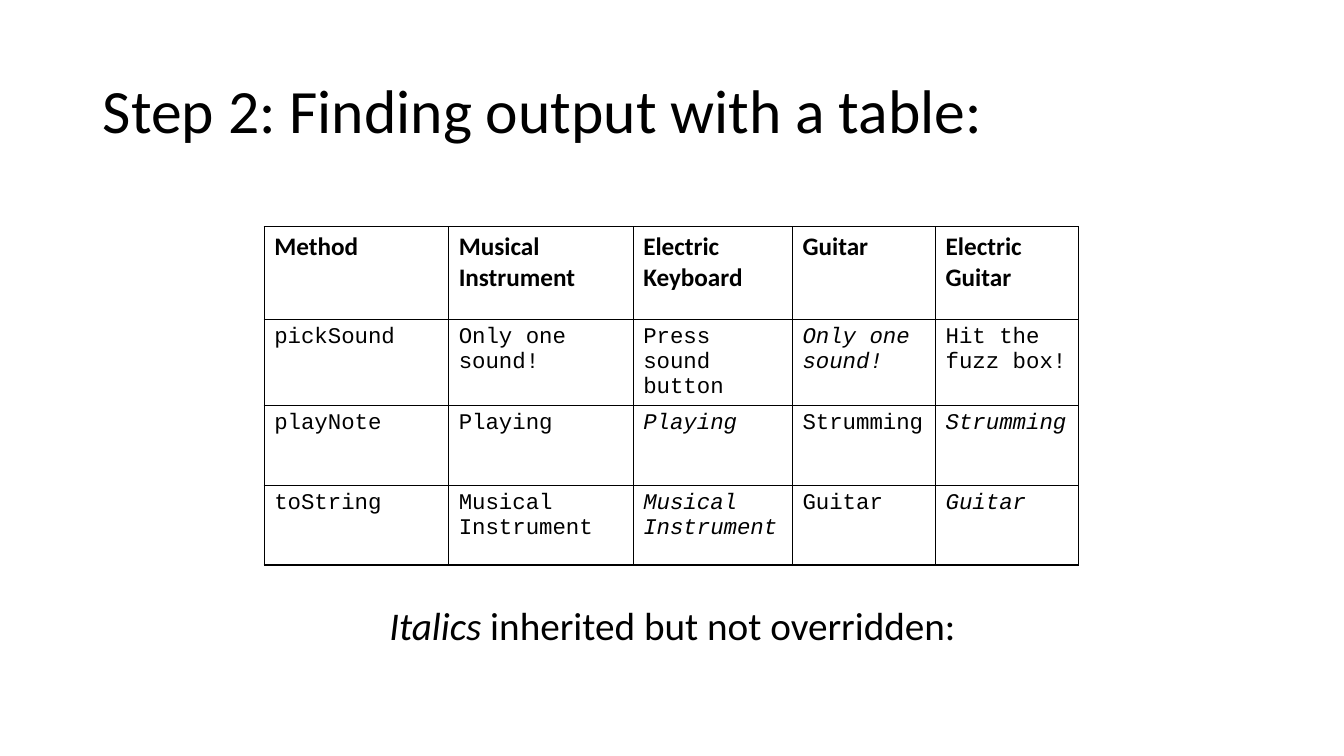
from lxml import etree
from pptx import Presentation
from pptx.dml.color import RGBColor
from pptx.enum import text
from pptx.oxml import ns
from pptx.util import Inches, Pt

BLACK = RGBColor(0, 0, 0)
WHITE = RGBColor(255, 255, 255)
SANS = "Calibri"
MONO = "Courier New"

COLUMN_WIDTHS = [1.83, 1.83, 1.58, 1.42, 1.42]
ROW_HEIGHTS = [0.92, 0.79, 0.79, 0.79]
HEADER = ["Method", "Musical Instrument", "Electric Keyboard", "Guitar", "Electric Guitar"]
METHODS = [
    ["pickSound", "Only one sound!", "Press sound button", "Only one sound!", "Hit the fuzz box!"],
    ["playNote", "Playing", "Playing", "Strumming", "Strumming"],
    ["toString", "Musical Instrument", "Musical Instrument", "Guitar", "Guitar"],
]
INHERITED = {(1, 3), (2, 2), (2, 4), (3, 2), (3, 4)}


def add_run(p, words, size=18, font=SANS, color=BLACK, bold=False, italic=False):
    r = p.add_run()
    r.text = words
    r.font.size = Pt(size)
    r.font.name = font
    r.font.color.rgb = color
    r.font.bold = bold
    r.font.italic = italic


def add_borders(cell, color=BLACK, width=1):
    props = cell._tc.get_or_add_tcPr()
    for i, side in enumerate(("lnL", "lnR", "lnT", "lnB")):
        line = etree.Element(ns.qn(f"a:{side}"), w=str(Pt(width)))
        fill = etree.SubElement(line, ns.qn("a:solidFill"))
        etree.SubElement(fill, ns.qn("a:srgbClr"), val=str(color))
        props.insert(i, line)


class SlideBuilder:
    def __init__(self, prs):
        self.s = prs.slides.add_slide(prs.slide_layouts[5])

    def frame(self, sp, box, align):
        sp.left, sp.top, sp.width, sp.height = map(Inches, box)
        tf = sp.text_frame
        tf.word_wrap = True
        tf.auto_size = text.MSO_AUTO_SIZE.NONE
        tf.vertical_anchor = text.MSO_ANCHOR.MIDDLE
        p = tf.paragraphs[0]
        p.alignment = align
        p.line_spacing = 0.9
        return p

    def title(self, words, box):
        p = self.frame(self.s.shapes.title, box, text.PP_ALIGN.LEFT)
        add_run(p, words, size=44)

    def caption(self, runs, box):
        sp = self.s.shapes.add_textbox(*map(Inches, box))
        p = self.frame(sp, box, text.PP_ALIGN.CENTER)
        for words, italic in runs:
            add_run(p, words, size=28, italic=italic)

    def table(self, rows, left, top):
        size = Inches(sum(COLUMN_WIDTHS)), Inches(sum(ROW_HEIGHTS))
        table = self.s.shapes.add_table(
            len(rows), len(rows[0]), Inches(left), Inches(top), *size
        ).table
        table.first_row = table.horz_banding = False
        for column, width in zip(table.columns, COLUMN_WIDTHS):
            column.width = Inches(width)
        for i, (row, height) in enumerate(zip(rows, ROW_HEIGHTS)):
            table.rows[i].height = Inches(height)
            style = {"size": 16, "font": MONO} if i else {"size": 18, "bold": True}
            for j, words in enumerate(row):
                cell = table.cell(i, j)
                cell.fill.solid()
                cell.fill.fore_color.rgb = WHITE
                add_borders(cell)
                p = cell.text_frame.paragraphs[0]
                add_run(p, words, italic=(i, j) in INHERITED, **style)


def main():
    prs = Presentation()
    prs.slide_width, prs.slide_height = Inches(13.33), Inches(7.5)
    slide = SlideBuilder(prs)
    slide.title("Step 2: Finding output with a table:", (0.92, 0.4, 11.5, 1.45))
    slide.caption(
        [("Italics", True), (" inherited but not overridden:", False)],
        (0.92, 5.93, 11.5, 0.6),
    )
    slide.table([HEADER] + METHODS, 2.62, 2.25)
    prs.save("out.pptx")


if __name__ == "__main__":
    main()
